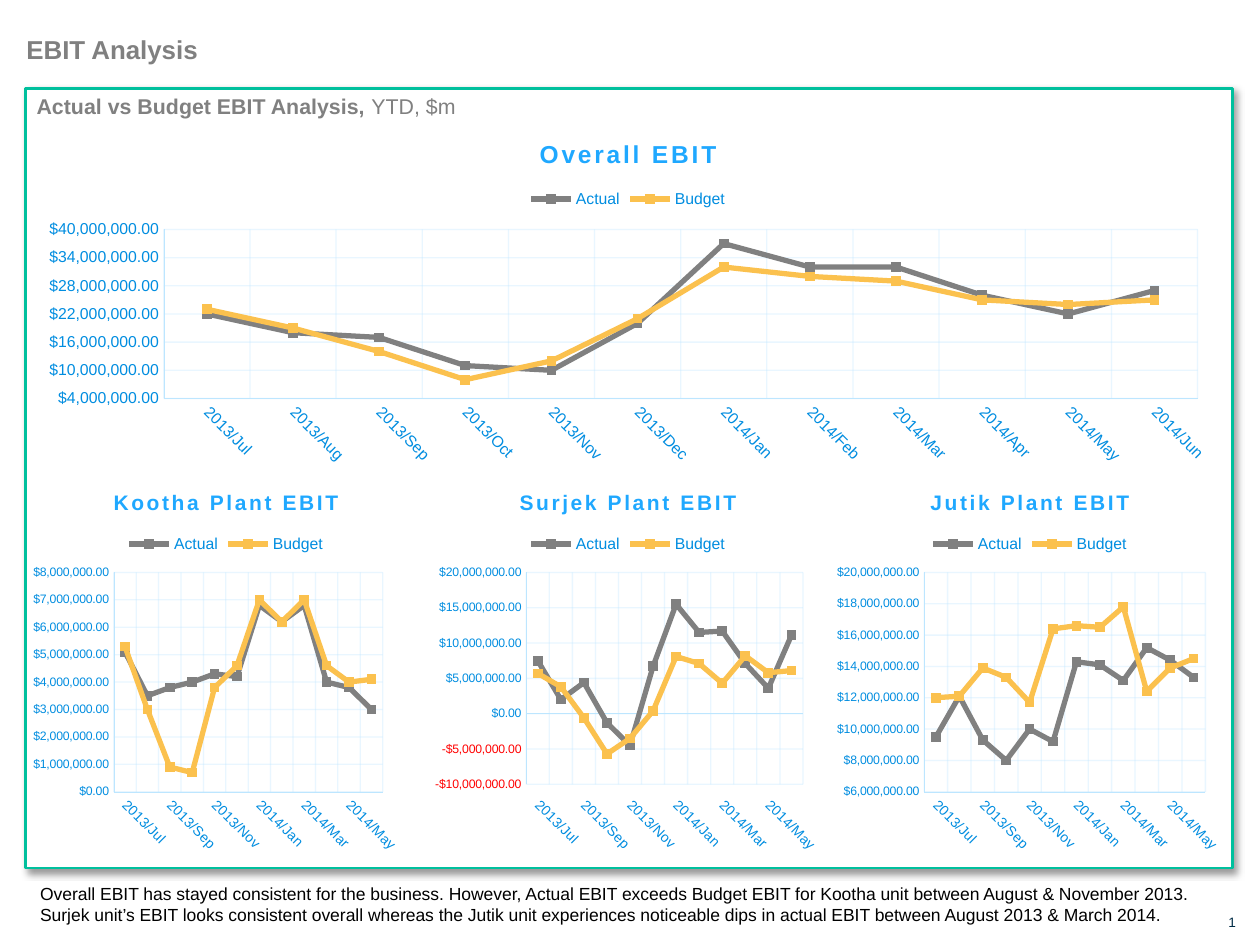
from lxml import etree
from pptx import Presentation
from pptx.chart.data import CategoryChartData
from pptx.dml.color import RGBColor
from pptx.enum.chart import (XL_CHART_TYPE, XL_LEGEND_POSITION, XL_MARKER_STYLE,
                             XL_TICK_LABEL_POSITION, XL_TICK_MARK)
from pptx.enum.shapes import MSO_SHAPE
from pptx.enum.text import MSO_ANCHOR, PP_ALIGN
from pptx.oxml import parse_xml
from pptx.oxml.ns import nsdecls, qn
from pptx.util import Inches, Pt

LINE_MARKERS = XL_CHART_TYPE.LINE_MARKERS
LEGEND_TOP = XL_LEGEND_POSITION.TOP
SQUARE = XL_MARKER_STYLE.SQUARE
LABELS_LOW = XL_TICK_LABEL_POSITION.LOW
NO_TICK = XL_TICK_MARK.NONE
RECTANGLE = MSO_SHAPE.RECTANGLE
TOP, MIDDLE = MSO_ANCHOR.TOP, MSO_ANCHOR.MIDDLE
LEFT, RIGHT = PP_ALIGN.LEFT, PP_ALIGN.RIGHT

FONT = "Arial"
COLORS = {
    "white": "FFFFFF", "frame": "00C09D", "heading": "808080", "body": "000000",
    "navy": "002C46", "chart title": "1FA8FF", "label": "008DE0", "grid": "BDE6FF",
    "Actual": "808080", "Budget": "FBC14E",
}
DOLLARS = '"$"#,##0.00;[Red]\\-"$"#,##0.00'
MILLION = 1_000_000
MONTHS = ([f"2013/{month}" for month in "Jul Aug Sep Oct Nov Dec".split()]
          + [f"2014/{month}" for month in "Jan Feb Mar Apr May Jun".split()])

MARGIN = 0.2
COLUMN = 3.19
OVERALL_TOP, OVERALL_HEIGHT = 0.95, 2.8
PLANT_TOP, PLANT_HEIGHT = 3.74, 3.09

# Axis (minimum, maximum, step) and monthly values are in $ million.
OVERALL = ("Overall EBIT", (4, 40, 6), {
    "Actual": [22, 18, 17, 11, 10, 20, 37, 32, 32, 26, 22, 27],
    "Budget": [23, 19, 14, 8, 12, 21, 32, 30, 29, 25, 24, 25]})
PLANTS = [
    ("Kootha Plant EBIT", (0, 8, 1), {
        "Actual": [5.1, 3.5, 3.8, 4, 4.3, 4.2, 6.8, 6.2, 6.8, 4, 3.8, 3],
        "Budget": [5.3, 3, 0.9, 0.7, 3.8, 4.6, 7, 6.2, 7, 4.6, 4, 4.1]}),
    ("Surjek Plant EBIT", (-10, 20, 5), {
        "Actual": [7.5, 2, 4.4, -1.3, -4.5, 6.7, 15.5, 11.5, 11.7, 7.1, 3.6, 11.1],
        "Budget": [5.7, 3.8, -0.6, -5.7, -3.5, 0.4, 8.1, 7.1, 4.3, 8.2, 5.8, 6.1]}),
    ("Jutik Plant EBIT", (6, 20, 2), {
        "Actual": [9.5, 12.1, 9.3, 8, 10, 9.2, 14.3, 14.1, 13.1, 15.2, 14.4, 13.3],
        "Budget": [12, 12.1, 13.9, 13.3, 11.7, 16.4, 16.6, 16.5, 17.8, 12.4, 13.9, 14.5]}),
]
COMMENTARY = (
    "Overall EBIT has stayed consistent for the business. However, Actual EBIT exceeds "
    "Budget EBIT for Kootha unit between August & November 2013. Surjek unit’s EBIT looks "
    "consistent overall whereas the Jutik unit experiences noticeable dips in actual EBIT "
    "between August 2013 & March 2014.")


def color(name):
    return RGBColor.from_string(COLORS[name])


def set_font(font, size, color_name, bold=None):
    font.name, font.size, font.bold = FONT, Pt(size), bold
    font.color.rgb = color(color_name)


def set_line(line, color_name, width):
    line.color.rgb = color(color_name)
    line.width = Pt(width)


def set_frame(frame, anchor=TOP, inset=0):
    frame.word_wrap = True
    frame.vertical_anchor = anchor
    frame.margin_left = frame.margin_right = Inches(inset)
    frame.margin_top = frame.margin_bottom = Inches(inset / 2)


def add_title(slide, text):
    title = slide.shapes.title
    title.left, title.top, title.width, title.height = map(Inches, (0.21, 0.27, 9.58, 0.25))
    set_frame(title.text_frame)
    title.text_frame.text = text
    paragraph = title.text_frame.paragraphs[0]
    paragraph.alignment = LEFT
    set_font(paragraph.font, 14.8, "heading", True)


def add_text(slide, box, runs, size, color_name, inset=0):
    """Add one paragraph made of (text, bold) runs."""
    frame = slide.shapes.add_textbox(*map(Inches, box)).text_frame
    set_frame(frame, inset=inset)
    paragraph = frame.paragraphs[0]
    set_font(paragraph.font, size, color_name)
    for text, bold in runs:
        run = paragraph.add_run()
        run.text, run.font.bold = text, bold


def add_slide_number(slide):
    frame = slide.shapes.add_textbox(*map(Inches, (9.61, 7.25, 0.2, 0.13))).text_frame
    set_frame(frame, MIDDLE)
    paragraph = frame.paragraphs[0]
    paragraph.alignment = RIGHT
    run = paragraph.add_run()
    run.text = "1"
    set_font(run.font, 7.8, "navy")
    run._r.tag = qn("a:fld")
    run._r.set("id", "{B6F15528-21DE-4FAA-801E-634DDDAF4B2B}")
    run._r.set("type", "slidenum")


def add_panel(slide):
    panel = slide.shapes.add_shape(RECTANGLE, *map(Inches, (MARGIN, 0.7, 9.58, 6.19)))
    panel.fill.solid()
    panel.fill.fore_color.rgb = color("white")
    set_line(panel.line, "frame", 1.5)
    panel._element.spPr.append(parse_xml(
        f'<a:effectLst {nsdecls("a")}><a:outerShdw blurRad="{Pt(4)}" dist="{Pt(3)}" '
        'dir="2700000" algn="tl" rotWithShape="0"><a:srgbClr val="000000">'
        '<a:alpha val="40000"/></a:srgbClr></a:outerShdw></a:effectLst>'))


def format_axis(axis, label_size):
    axis.major_tick_mark = axis.minor_tick_mark = NO_TICK
    set_font(axis.tick_labels.font, label_size, "label")
    set_line(axis.format.line, "grid", 0.25)
    axis.has_major_gridlines = True
    set_line(axis.major_gridlines.format.line, "grid", 0.75)


def add_ebit_chart(slide, box, content, title_size, month_size, value_size):
    title, scale, series_values = content
    data = CategoryChartData(number_format=DOLLARS)
    data.categories = MONTHS
    for name, values in series_values.items():
        data.add_series(name, [round(value * MILLION) for value in values])
    chart = slide.shapes.add_chart(LINE_MARKERS, *map(Inches, box), data).chart
    set_font(chart.font, 10, "navy")

    heading = chart.chart_title.text_frame
    heading.text = title
    set_font(heading.paragraphs[0].font, title_size, "chart title", True)
    heading.paragraphs[0].font._element.set("spc", "150")
    chart.chart_title.include_in_layout = False

    chart.has_legend = True
    chart.legend.position = LEGEND_TOP
    chart.legend.include_in_layout = False
    set_font(chart.legend.font, 9, "label")

    months, dollars = chart.category_axis, chart.value_axis
    format_axis(months, month_size)
    format_axis(dollars, value_size)
    dollars.minimum_scale, dollars.maximum_scale, dollars.major_unit = (
        step * MILLION for step in scale)
    dollars.tick_labels.number_format = DOLLARS
    dollars.tick_labels.number_format_is_linked = False
    if scale[0] < 0:
        months.tick_label_position = LABELS_LOW

    for series in chart.plots[0].series:
        series.smooth = False
        set_line(series.format.line, series.name, 3)
        series.marker.style, series.marker.size = SQUARE, 5
        series.marker.format.fill.solid()
        series.marker.format.fill.fore_color.rgb = color(series.name)
        set_line(series.marker.format.line, series.name, 0.75)

    chart_xml = chart._chartSpace
    chart_xml.xpath("//c:catAx/c:txPr/a:bodyPr")[0].set("rot", "2700000")
    for grid_color in chart_xml.xpath("//c:majorGridlines//a:srgbClr"):
        etree.SubElement(grid_color, qn("a:alpha")).set("val", "32000")


def main():
    deck = Presentation()
    deck.slide_width, deck.slide_height = Inches(10), Inches(7.5)
    slide = deck.slides.add_slide(deck.slide_layouts[5])
    add_panel(slide)
    add_title(slide, "EBIT Analysis")
    add_text(slide, (0.29, 0.74, 8.08, 0.21),
             [("Actual vs Budget EBIT Analysis, ", True), ("YTD, $m", False)], 12.2, "heading")
    add_ebit_chart(slide, (MARGIN, OVERALL_TOP, 3 * COLUMN, OVERALL_HEIGHT), OVERALL, 14, 9, 9)
    for column, plant in enumerate(PLANTS):
        box = (MARGIN + column * COLUMN, PLANT_TOP, COLUMN, PLANT_HEIGHT)
        add_ebit_chart(slide, box, plant, 12, 8, 7)
    add_text(slide, (0.22, 6.96, 9.55, 0.5), [(COMMENTARY, None)], 10, "body", inset=0.1)
    add_slide_number(slide)
    deck.save("out.pptx")


if __name__ == "__main__":
    main()
